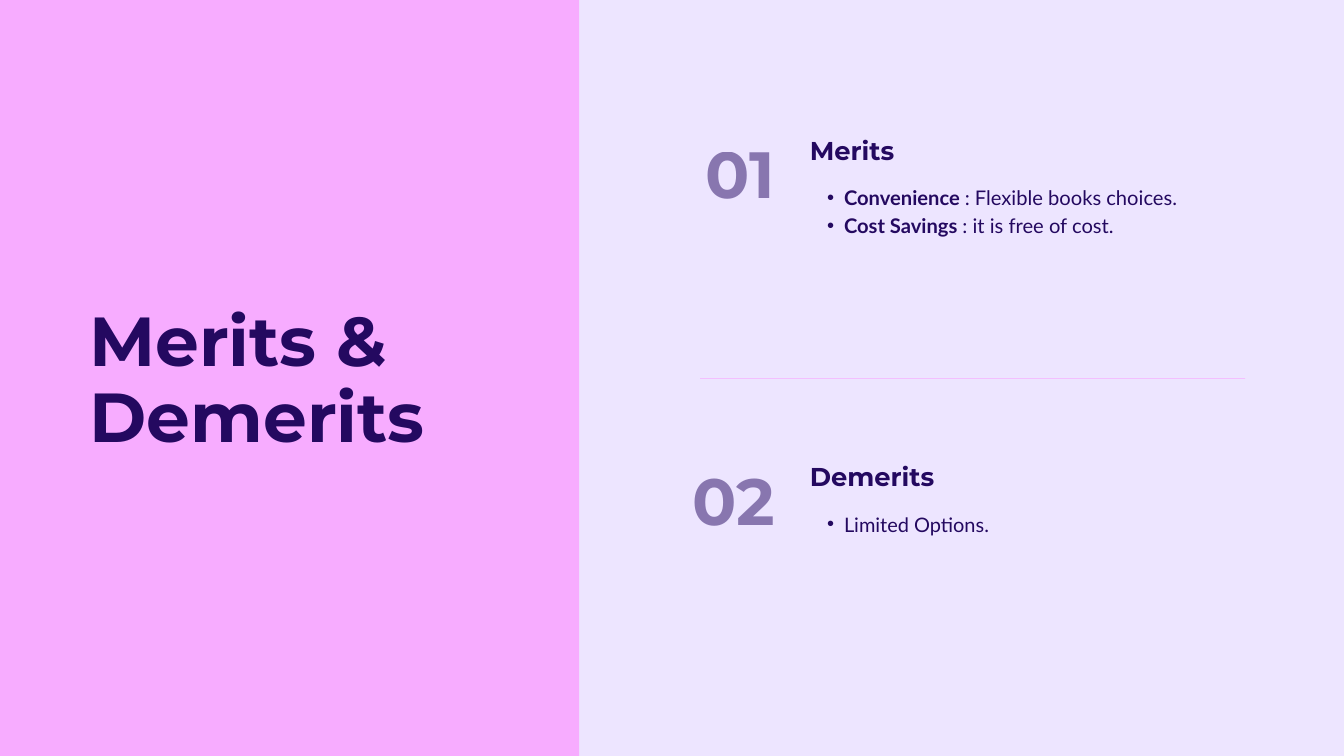
from dataclasses import dataclass
from lxml.etree import SubElement
from pptx import Presentation
from pptx.dml.color import RGBColor
from pptx.enum.shapes import MSO_SHAPE
from pptx.enum.text import MSO_ANCHOR, MSO_AUTO_SIZE, PP_ALIGN
from pptx.oxml.ns import qn
from pptx.util import Inches, Pt


@dataclass(frozen=True)
class Theme:
    ink: RGBColor = RGBColor(0x24, 0x09, 0x60)
    pink: RGBColor = RGBColor(0xF7, 0xAC, 0xFF)
    back: RGBColor = RGBColor(0xED, 0xE5, 0xFF)
    head: str = "Montserrat"
    body: str = "Lato"
    title: tuple = (74.3, 81.7)
    label: tuple = (27.6, 33.2)
    count: tuple = (70, 77)


THEME = Theme()
CELL = Inches(1)
COLS, ROWS = 20, 11.25
TOP, STEP = 2, 4.86
LEFT, WIDE = 12.05, 6.48
PARTS = [
    ("01", "Merits", (21.6, 30.2), 0.8,
     [("Convenience ", ": Flexible books choices."),
      ("Cost Savings ", ": it is free of cost.")]),
    ("02", "Demerits", (21.4, 30), 0.4, [("", "Limited Options.")]),
]


def grid(*cells):
    return [round(cell * CELL) for cell in cells]


def place(shape, *cells):
    shape.left, shape.top, shape.width, shape.height = grid(*cells)
    frame = shape.text_frame
    frame.margin_left = frame.margin_right = 0
    frame.margin_top = frame.margin_bottom = 0
    frame.word_wrap = True
    frame.auto_size = MSO_AUTO_SIZE.NONE
    frame.vertical_anchor = MSO_ANCHOR.TOP
    return frame


def style(para, face, size, bold=None, align=PP_ALIGN.LEFT):
    para.alignment = align
    para.space_before = para.space_after = Pt(0)
    para.line_spacing = Pt(size[1])
    font = para.font
    font.name, font.size, font.bold = face, Pt(size[0]), bold
    font.color.rgb = THEME.ink


def block(slide, *cells):
    shape = slide.shapes.add_shape(MSO_SHAPE.RECTANGLE, *grid(*cells))
    shape.shadow.inherit = False
    shape.fill.solid()
    shape.fill.fore_color.rgb = THEME.pink
    shape.line.fill.background()
    return shape


def label(shape, text, size, *cells):
    para = place(shape, *cells).paragraphs[0]
    para.text = text
    style(para, THEME.head, size, True)


def bullet(para):
    props = para._p.get_or_add_pPr()
    props.set("marL", str(Inches(0.51)))
    props.set("indent", str(Inches(-0.25)))
    SubElement(props, qn("a:buFont")).set("typeface", "Arial")
    SubElement(props, qn("a:buChar")).set("char", "•")
    props.append(props.find(qn("a:defRPr")))


def points(shape, items, size, *cells):
    frame = place(shape, *cells)
    for row, (lead, rest) in enumerate(items):
        para = frame.add_paragraph() if row else frame.paragraphs[0]
        style(para, THEME.body, size)
        bullet(para)
        for text, bold in ((lead, True), (rest, False)):
            if text:
                run = para.add_run()
                run.text = text
                run.font.bold = bold


def count(slide, text, *cells):
    box = slide.shapes.add_textbox(*grid(*cells))
    para = place(box, *cells).paragraphs[0]
    run = para.add_run()
    run.text = text
    style(para, THEME.head, THEME.count, True, PP_ALIGN.RIGHT)
    run.font.color.rgb = THEME.ink
    tint = run.font._element.find(".//" + qn("a:srgbClr"))
    SubElement(tint, qn("a:alpha")).set("val", "50000")


def main():
    deck = Presentation()
    deck.slide_width, deck.slide_height = grid(COLS, ROWS)
    slide = deck.slides.add_slide(deck.slide_layouts[4])
    fill = slide.background.fill
    fill.solid()
    fill.fore_color.rgb = THEME.back
    title, *slots = slide.placeholders
    for panel in (block(slide, 10.42, ROWS / 2, 8.11, 0.01),
                  block(slide, 0, 0, 8.62, ROWS)):
        title.element.addprevious(panel.element)
    label(title, "Merits & Demerits", THEME.title, 1.33, 4.52, 5.94, 2.28)
    for row, (mark, name, size, high, items) in enumerate(PARTS):
        top = TOP + row * STEP
        head, body = slots[2 * row:2 * row + 2]
        label(head, name, THEME.label, LEFT, top, WIDE, 0.47)
        points(body, items, size, LEFT, top + 0.7, WIDE, high)
        count(slide, mark, 10, top + 0.08, 1.53, 1.09)
    deck.save("out.pptx")


if __name__ == "__main__":
    main()
